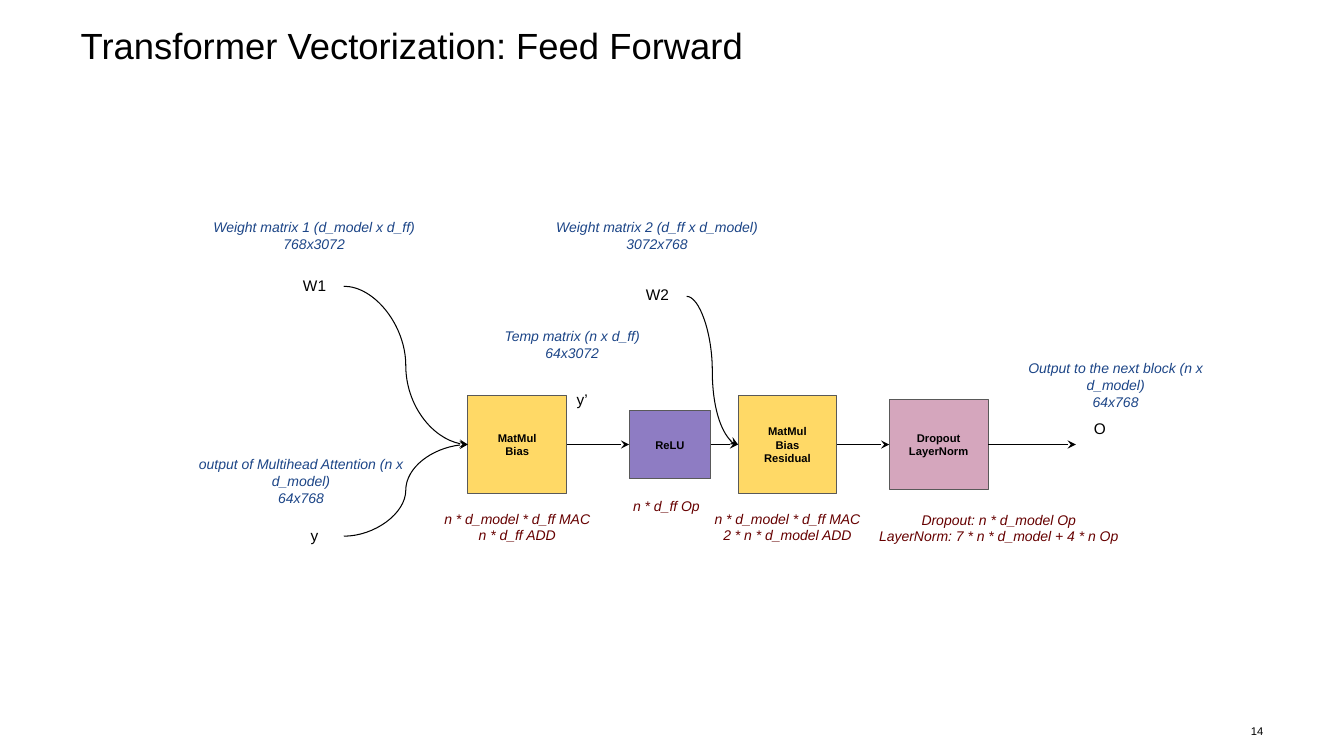
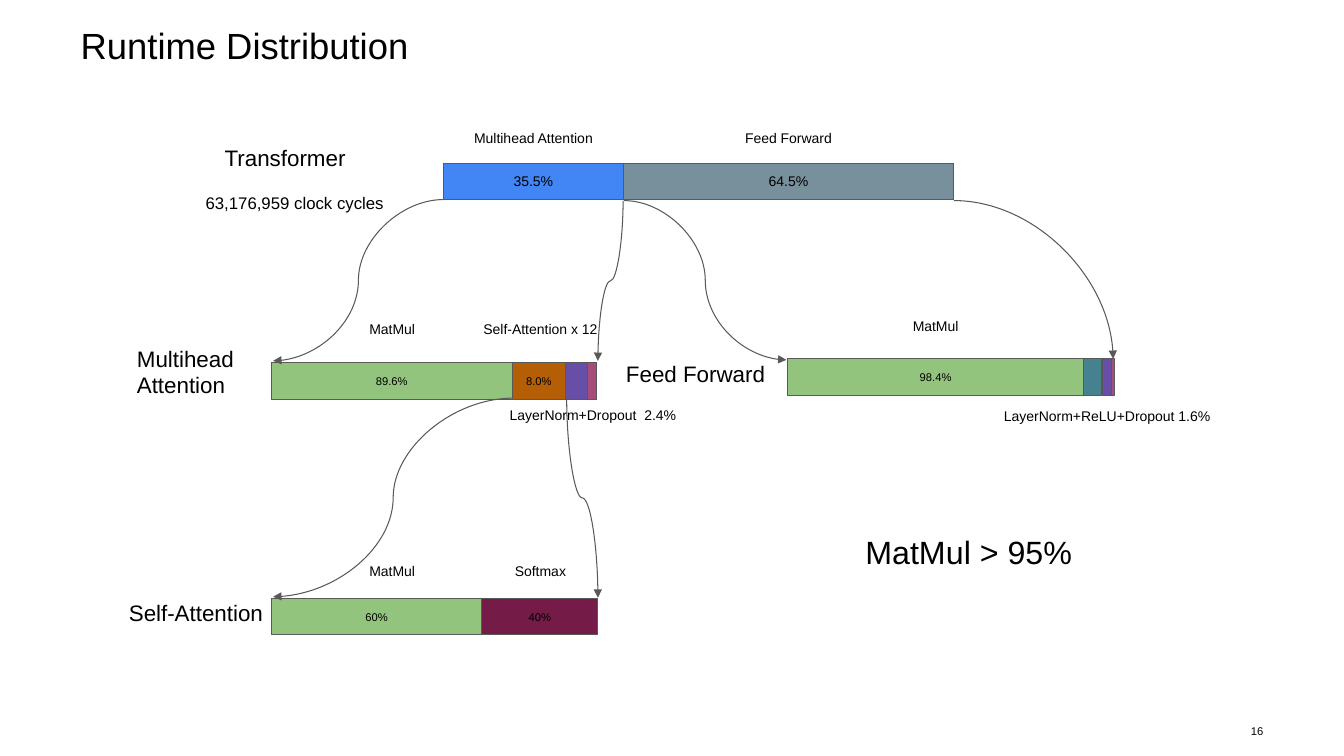
import pptx
import pptx.dml.color
import pptx.enum.shapes
import pptx.enum.text
import pptx.oxml.ns
import pptx.util
from lxml import etree

Inches = pptx.util.Inches
Align = pptx.enum.text.PP_ALIGN
Anchor = pptx.enum.text.MSO_ANCHOR
Connector = pptx.enum.shapes.MSO_CONNECTOR
qn = pptx.oxml.ns.qn


class Theme:
    font = "Arial"
    black = "000000"
    outline = "595959"
    dimension = "1C4587"
    cost = "660000"
    yellow = "FFD966"
    lilac = "8E7CC3"
    pink = "D5A6BD"
    blue = "4285F4"
    slate = "78909C"
    green = "93C47D"
    orange = "B45F06"
    teal = "45818E"
    violet = "674EA7"
    magenta = "A64D79"
    plum = "741B47"
    title = 26
    takeaway = 23
    heading = 16
    detail = 12
    symbol = 11
    label = 10
    small = 8
    line = 0.75


def add_block(slide, left, top, width, height, text, size, color=Theme.black, fill=None,
              align=Align.CENTER, inset=0.1, bold=False, italic=False):
    area = Inches(left), Inches(top), Inches(width), Inches(height)
    if fill:
        block = slide.shapes.add_shape(pptx.enum.shapes.MSO_SHAPE.RECTANGLE, *area)
        block.shadow.inherit = False
        block.fill.solid()
        block.fill.fore_color.rgb = pptx.dml.color.RGBColor.from_string(fill)
        block.line.color.rgb = pptx.dml.color.RGBColor.from_string(Theme.outline)
        block.line.width = pptx.util.Pt(Theme.line)
    else:
        block = slide.shapes.add_textbox(*area)
    frame = block.text_frame
    frame.word_wrap = True
    frame.vertical_anchor = Anchor.MIDDLE if fill else Anchor.TOP
    frame.margin_left = frame.margin_right = Inches(inset)
    frame.margin_top = frame.margin_bottom = Inches(inset)
    frame.text = text
    for paragraph in frame.paragraphs:
        paragraph.alignment = align
        paragraph.font.name = Theme.font
        paragraph.font.size = pptx.util.Pt(size)
        paragraph.font.bold = bold
        paragraph.font.italic = italic
        paragraph.font.color.rgb = pptx.dml.color.RGBColor.from_string(color)
    return block


def add_arrow(slide, start, end, color, head, route="across"):
    (x1, y1), (x2, y2) = start, end
    kind = Connector.STRAIGHT if y1 == y2 else Connector.CURVE
    if route == "down":
        turn = 1 if x2 > x1 else -1
        middle_x, middle_y = (x1 + x2) / 2, (y1 + y2) / 2
        half_run, half_rise = turn * (y2 - y1) / 2, turn * (x2 - x1) / 2
        x1, x2 = middle_x + half_run, middle_x - half_run
        y1, y2 = middle_y - half_rise, middle_y + half_rise
    arrow = slide.shapes.add_connector(kind, Inches(x1), Inches(y1), Inches(x2), Inches(y2))
    arrow.line.color.rgb = pptx.dml.color.RGBColor.from_string(color)
    arrow.line.width = pptx.util.Pt(Theme.line)
    properties = arrow.element.spPr
    if route == "down":
        properties.find(qn("a:xfrm")).set("rot", str((180 + turn * 90) * 60000))
    if route == "corner":
        properties.find(qn("a:prstGeom")).set("prst", "curvedConnector2")
    etree.SubElement(properties.find(qn("a:ln")), qn("a:tailEnd"), type=head)
    etree.SubElement(properties, qn("a:effectLst"))


deck = pptx.Presentation()
deck.slide_width = Inches(13.33)
deck.slide_height = Inches(7.5)

slides = []
for heading, number in [("Transformer Vectorization: Feed Forward", "14"), ("Runtime Distribution", "16")]:
    slide = deck.slides.add_slide(deck.slide_layouts[5])
    title = slide.shapes.title
    title.left, title.top, title.width, title.height = Inches(0.8), Inches(0.28), Inches(11.73), Inches(0.98)
    frame = title.text_frame
    frame.text = heading
    frame.auto_size = pptx.enum.text.MSO_AUTO_SIZE.NONE
    frame.vertical_anchor = Anchor.TOP
    frame.margin_left = frame.margin_right = frame.margin_top = frame.margin_bottom = 0
    paragraph = frame.paragraphs[0]
    paragraph.alignment = Align.LEFT
    paragraph.line_spacing = 0.9
    paragraph.font.name = Theme.font
    paragraph.font.size = pptx.util.Pt(Theme.title)
    paragraph.font.color.rgb = pptx.dml.color.RGBColor.from_string(Theme.black)
    page = add_block(slide, 12.18, 7.13, 0.35, 0.24, number, Theme.small, align=Align.RIGHT, inset=0)
    page.text_frame.vertical_anchor = Anchor.MIDDLE
    slides.append(slide)
feed_forward, runtime = slides

flow_y = 4.41
stages = [
    (4.64, 0.98, 0.98, "MatMul\nBias", Theme.yellow),
    (6.24, 0.81, 0.68, "ReLU", Theme.lilac),
    (7.32, 0.98, 0.98, "MatMul\nBias\nResidual", Theme.yellow),
    (8.82, 0.98, 0.89, "Dropout\nLayerNorm", Theme.pink),
]
for left, width, height, text, fill in stages:
    add_block(feed_forward, left, flow_y - height / 2, width, height, text, Theme.small, fill=fill, bold=True)

next_lefts = [stage[0] for stage in stages[1:]] + [10.67]
flow_arrows = [((left + width, flow_y), (next_left, flow_y))
               for (left, width, *_), next_left in zip(stages, next_lefts)]
input_arrows = [((3.41, 5.32), (4.64, flow_y)), ((3.41, 2.84), (4.64, flow_y)), ((6.81, 2.94), (7.32, flow_y))]
for start, end in flow_arrows + input_arrows:
    add_arrow(feed_forward, start, end, Theme.black, "stealth")

for left, top, text, align in [
    (2.83, 5.13, "y", Align.CENTER),
    (2.83, 2.65, "W1", Align.CENTER),
    (6.23, 2.74, "W2", Align.CENTER),
    (5.62, 3.78, "y’", Align.LEFT),
    (10.75, 4.07, "O", Align.LEFT),
]:
    add_block(feed_forward, left, top, 0.58, 0.39, text, Theme.symbol, align=align)

for left, top, width, height, text, color in [
    (1.79, 2.07, 2.65, 0.54, "Weight matrix 1 (d_model x d_ff)\n768x3072", Theme.dimension),
    (5.19, 2.07, 2.65, 0.54, "Weight matrix 2 (d_ff x d_model)\n3072x768", Theme.dimension),
    (4.56, 3.15, 2.23, 0.54, "Temp matrix (n x d_ff)\n64x3072", Theme.dimension),
    (1.66, 4.42, 2.65, 0.71, "output of Multihead Attention (n x d_model)\n64x768", Theme.dimension),
    (9.95, 3.47, 2.23, 0.71, "Output to the next block (n x d_model)\n64x768", Theme.dimension),
    (4.28, 4.96, 1.7, 0.54, "n * d_model * d_ff MAC\nn * d_ff ADD", Theme.cost),
    (5.76, 4.85, 1.7, 0.37, "n * d_ff Op", Theme.cost),
    (6.96, 4.96, 1.7, 0.54, "n * d_model * d_ff MAC\n2 * n * d_model ADD", Theme.cost),
    (8.58, 4.97, 2.65, 0.54, "Dropout: n * d_model Op\nLayerNorm: 7 * n * d_model + 4 * n Op", Theme.cost),
]:
    add_block(feed_forward, left, top, width, height, text, Theme.label, color, italic=True)

for left, top, size, segments in [
    (4.4, 1.62, Theme.label, [(1.78, "35.5%", Theme.blue), (3.28, "64.5%", Theme.slate)]),
    (2.69, 3.6, Theme.small, [(2.39, "89.6%", Theme.green), (0.53, "8.0%", Theme.orange),
                              (0.22, "", Theme.violet), (0.09, "", Theme.magenta)]),
    (7.81, 3.56, Theme.small, [(2.94, "98.4%", Theme.green), (0.18, "", Theme.teal),
                               (0.09, "", Theme.violet), (0.03, "", Theme.magenta)]),
    (2.69, 5.94, Theme.small, [(2.09, "60%", Theme.green), (1.15, "40%", Theme.plum)]),
]:
    for width, share, fill in segments:
        add_block(runtime, left, top, width, 0.36, share, size, fill=fill)
        left += width

for start, end, route in [
    ((4.4, 1.98), (2.71, 3.58), "across"),
    ((6.18, 1.99), (5.93, 3.58), "down"),
    ((6.19, 1.99), (7.8, 3.57), "across"),
    ((9.46, 1.99), (11.04, 3.56), "corner"),
    ((5.09, 3.95), (2.71, 5.92), "across"),
    ((5.62, 3.95), (5.93, 5.93), "down"),
]:
    add_arrow(runtime, start, end, Theme.outline, "triangle", route)

for center, top, text in [
    (5.29, 1.2, "Multihead Attention"),
    (7.82, 1.2, "Feed Forward"),
    (3.89, 3.1, "MatMul"),
    (5.36, 3.1, "Self-Attention x 12"),
    (5.88, 3.95, "LayerNorm+Dropout  2.4%"),
    (9.28, 3.07, "MatMul"),
    (10.98, 3.96, "LayerNorm+ReLU+Dropout 1.6%"),
    (3.89, 5.5, "MatMul"),
    (5.36, 5.5, "Softmax"),
]:
    add_block(runtime, center - 1.2, top, 2.4, 0.37, text, Theme.label)

for left, top, width, height, text, size in [
    (2.13, 1.33, 1.61, 0.47, "Transformer", Theme.heading),
    (1.26, 3.32, 1.61, 0.74, "Multihead Attention", Theme.heading),
    (1.18, 5.84, 1.61, 0.47, "Self-Attention", Theme.heading),
    (6.11, 3.47, 1.69, 0.47, "Feed Forward", Theme.heading),
    (1.94, 1.81, 2.15, 0.4, "63,176,959 clock cycles", Theme.detail),
]:
    add_block(runtime, left, top, width, height, text, size, align=Align.LEFT)
add_block(runtime, 7.74, 5.18, 3.74, 0.59, "MatMul > 95%", Theme.takeaway)

deck.save("out.pptx")
